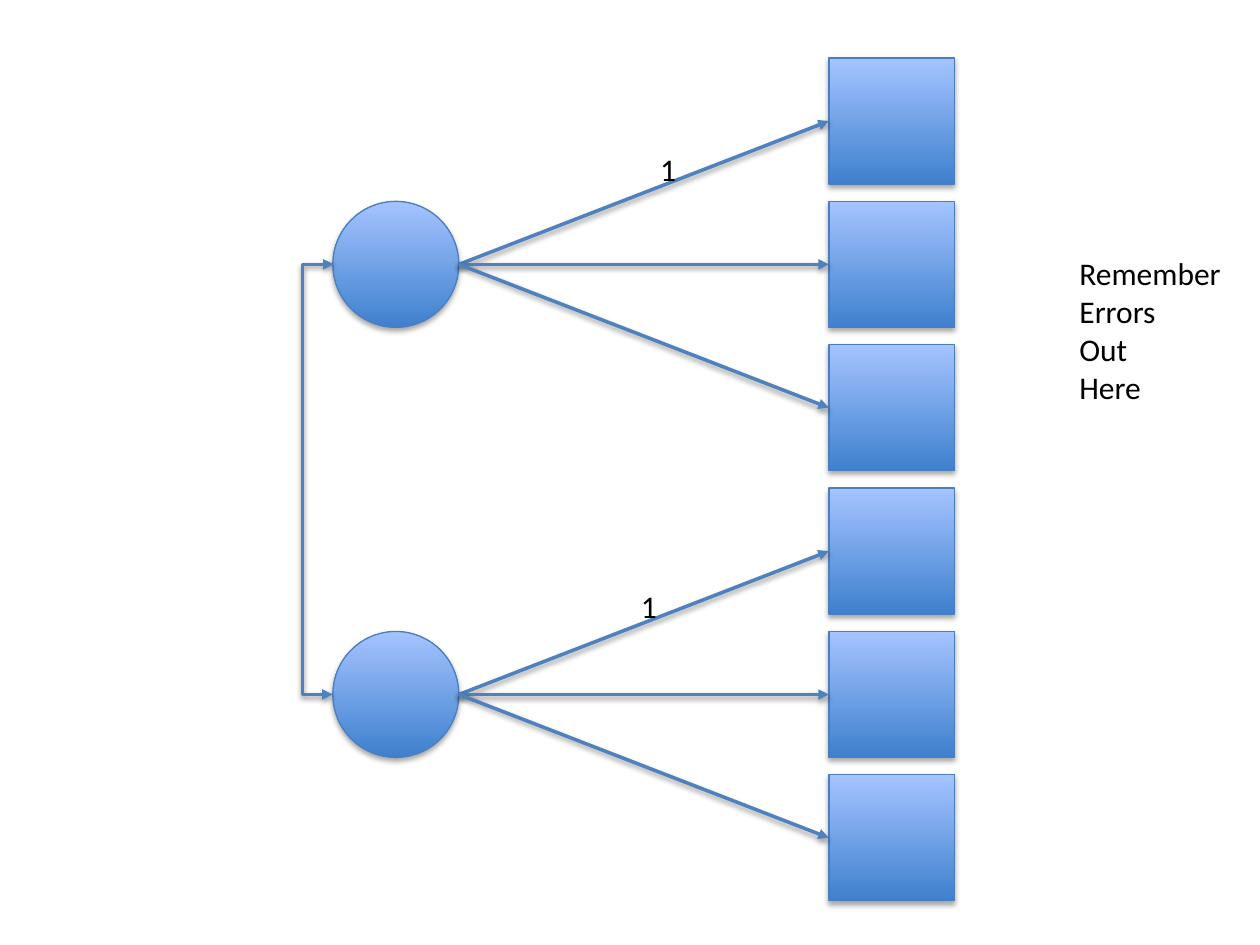
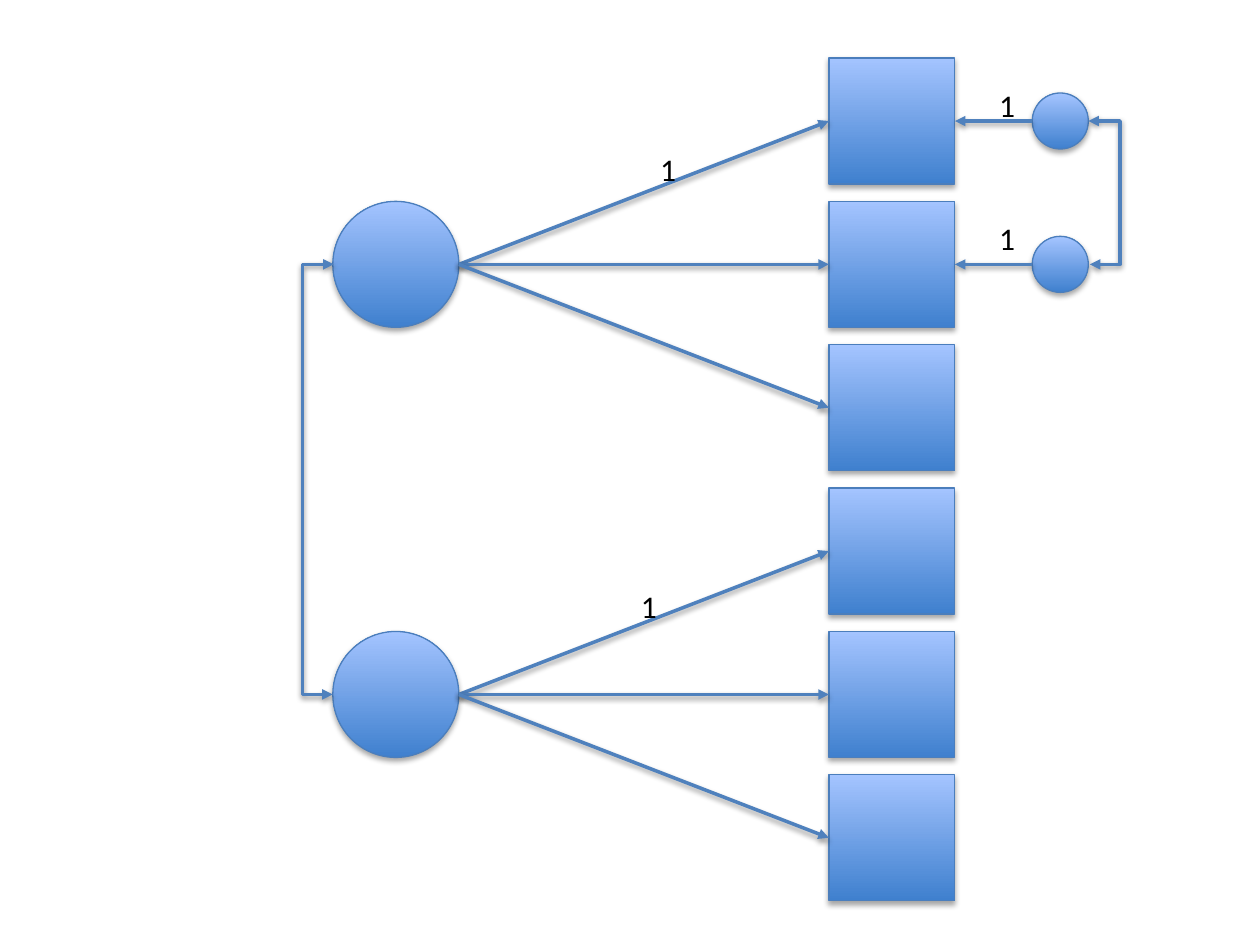
from lxml import etree
from pptx import Presentation
from pptx.dml import color
from pptx.enum import shapes, text
from pptx.oxml import ns
from pptx.util import Cm, Pt

# Shared geometry, in centimetres
BOX = 2.54
FACTOR_X, ITEM_X = 6.71, 16.71
FIRST_ROW, ROW_STEP, ROWS = 1.17, 2.89, 6
FACTOR_ROWS = (1, 4)
ERROR_X, ERROR_SIZE = 20.81, 1.13
ERROR_ROWS = (0, 1)


def rgb(value):
    return color.RGBColor.from_string(value)


def row_mid(row):
    return FIRST_ROW + row * ROW_STEP + BOX / 2


def sub(parent, tag, **attrs):
    return etree.SubElement(parent, ns.qn(tag), attrs)


class Diagram:
    font, size, ink = "Calibri", 18, "000000"
    dark, light = "3F80CE", "A4C4FF"
    outline, arrow_color = "4B7EBC", "4F81BD"

    def __init__(self):
        self.prs = Presentation()
        self.prs.slide_width, self.prs.slide_height = Cm(25.4), Cm(19.05)

    def new_slide(self):
        self.s = self.prs.slides.add_slide(self.prs.slide_layouts[6])

    def shadow(self, effects, dist, alpha):
        shade = sub(effects, "a:outerShdw", blurRad="40000", dist=str(dist),
                    dir="5400000", rotWithShape="0")
        sub(sub(shade, "a:srgbClr", val="000000"), "a:alpha", val=str(alpha))

    def node(self, kind, x, mid, size=BOX):
        sp = self.s.shapes.add_shape(kind, Cm(x), Cm(mid - size / 2), Cm(size), Cm(size))
        sp.fill.gradient()
        sp.fill.gradient_angle = 90
        for stop, pos, shade in zip(sp.fill.gradient_stops, (0, 1), (self.dark, self.light)):
            stop.position = pos
            stop.color.rgb = rgb(shade)
        sp.line.color.rgb = rgb(self.outline)
        sp.line.width = Pt(0.75)
        sp.shadow.inherit = False
        self.shadow(sp._element.spPr.find(ns.qn("a:effectLst")), 23000, 35000)

    def arrow(self, x1, y1, x2, y2, bend=None):
        """Draw a straight arrow, or a double-headed bracket that turns at x = bend."""
        kind = shapes.MSO_CONNECTOR.STRAIGHT if bend is None else shapes.MSO_CONNECTOR.ELBOW
        line = self.s.shapes.add_connector(kind, Cm(x1), Cm(y1), Cm(x2), Cm(y2))
        line.line.color.rgb = rgb(self.arrow_color)
        line.line.width = Pt(2)
        props = line._element.spPr
        ln = props.find(ns.qn("a:ln"))
        if bend is not None:
            adjust = round(100000 * (bend - x1) / (x2 - x1))
            guides = props.find(ns.qn("a:prstGeom")).get_or_add_avLst()
            sub(guides, "a:gd", name="adj1", fmla=f"val {adjust}")
            sub(ln, "a:headEnd", type="triangle")
        sub(ln, "a:tailEnd", type="triangle")
        self.shadow(sub(props, "a:effectLst"), 20000, 38000)

    def label(self, words, x, y, w=0.84, h=1.02):
        tf = self.s.shapes.add_textbox(Cm(x), Cm(y), Cm(w), Cm(h)).text_frame
        tf.word_wrap = False
        tf.auto_size = text.MSO_AUTO_SIZE.SHAPE_TO_FIT_TEXT
        tf.text = words
        for p in tf.paragraphs:
            for r in p.runs:
                r.font.name, r.font.size = self.font, Pt(self.size)
                r.font.color.rgb = rgb(self.ink)

    def factor_model(self):
        # Factors and their indicators
        for row in FACTOR_ROWS:
            self.node(shapes.MSO_SHAPE.OVAL, FACTOR_X, row_mid(row))
        for row in range(ROWS):
            self.node(shapes.MSO_SHAPE.RECTANGLE, ITEM_X, row_mid(row))
        # Factor covariance and loadings
        top, bottom = map(row_mid, FACTOR_ROWS)
        self.arrow(FACTOR_X + 0.02, top, FACTOR_X, bottom, bend=6.1)
        for row in FACTOR_ROWS:
            for item in (row - 1, row, row + 1):
                self.arrow(FACTOR_X + BOX, row_mid(row), ITEM_X, row_mid(item))
        # Fixed loadings
        self.label("1", 13.06, 2.9)
        self.label("1", 12.67, 11.71)

    def error_terms(self):
        for row in ERROR_ROWS:
            self.node(shapes.MSO_SHAPE.OVAL, ERROR_X, row_mid(row), ERROR_SIZE)
        for row in ERROR_ROWS:
            self.arrow(ERROR_X, row_mid(row), ITEM_X + BOX, row_mid(row))
        # Error covariance
        edge = ERROR_X + ERROR_SIZE
        top, bottom = map(row_mid, ERROR_ROWS)
        self.arrow(edge, top, edge + 0.03, bottom, bend=22.58)
        for y in (1.6, 4.29):
            self.label("1", 19.89, y)


def main():
    d = Diagram()

    # Slide 1: factor model with a reminder
    d.new_slide()
    d.factor_model()
    d.label("Remember\nErrors\nOut\nHere", 21.51, 5, 3.56, 3.33)

    # Slide 2: factor model with correlated errors
    d.new_slide()
    d.factor_model()
    d.error_terms()

    d.prs.save("out.pptx")


if __name__ == "__main__":
    main()
